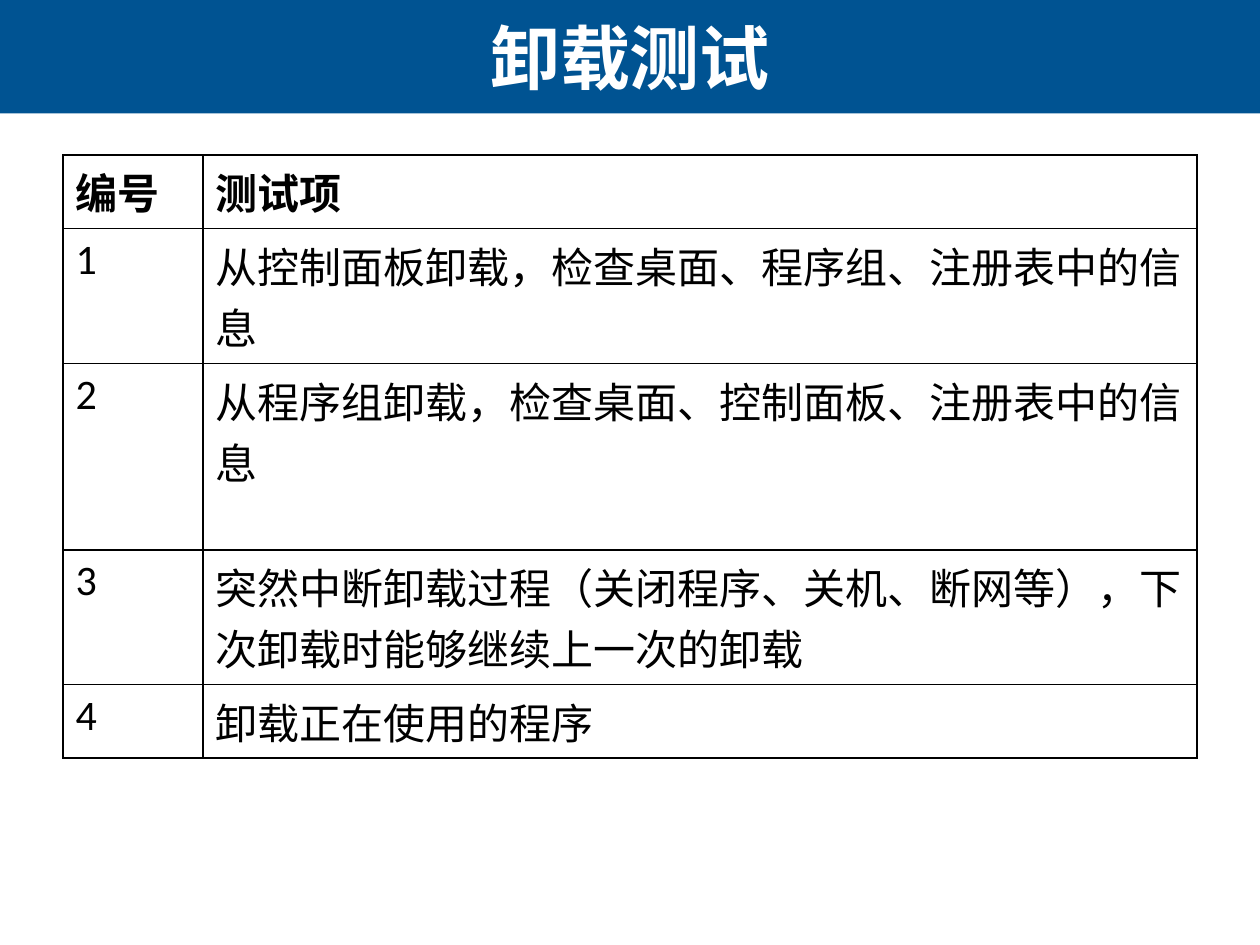
"""Build the uninstall test slide: a title band above a table of test items."""
from lxml.etree import SubElement
from pptx import Presentation
from pptx.dml.color import RGBColor
from pptx.enum.shapes import MSO_SHAPE
from pptx.enum.text import MSO_ANCHOR, PP_ALIGN
from pptx.oxml.ns import qn
from pptx.util import Inches, Pt

COLORS = {"band": "005392", "title": "FFFFFF", "ink": "000000"}
ROWS = [
    ("编号", "测试项", 0.58),
    ("1", "从控制面板卸载，检查桌面、程序组、注册表中的信息", 1.07),
    ("2", "从程序组卸载，检查桌面、控制面板、注册表中的信息", 1.48),
    ("3", "突然中断卸载过程（关闭程序、关机、断网等），下次卸载时能够继续上一次的卸载", 1.07),
    ("4", "卸载正在使用的程序", 0.58),
]
COLUMN_WIDTHS = (1.11, 7.89)


def add_span(para, text, font, size, color, bold):
    span = para.add_run()
    span.text = text
    span.font.name = font
    span.font.size = Pt(size)
    span.font.bold = bold
    span.font.color.rgb = RGBColor.from_string(COLORS[color])


def add_borders(cell):
    properties = cell._tc.get_or_add_tcPr()
    for side in ("lnL", "lnR", "lnT", "lnB"):
        line = SubElement(properties, qn(f"a:{side}"), w=str(Pt(1)))
        fill = SubElement(line, qn("a:solidFill"))
        SubElement(fill, qn("a:srgbClr"), val=COLORS["ink"])


deck = Presentation()
deck.slide_width, deck.slide_height = Inches(10), Inches(7.5)
page = deck.slides.add_slide(deck.slide_layouts[5])
band_height = int(deck.slide_height * 0.12)

band = page.shapes.add_shape(MSO_SHAPE.RECTANGLE, 0, 0, deck.slide_width, band_height)
band.shadow.inherit = False
band.fill.solid()
band.fill.fore_color.rgb = RGBColor.from_string(COLORS["band"])
band.line.fill.background()
page.shapes._spTree.insert(2, band._element)

title = page.shapes.title
title.left, title.top = 0, 0
title.width, title.height = deck.slide_width, band_height
title.text_frame.vertical_anchor = MSO_ANCHOR.MIDDLE
heading = title.text_frame.paragraphs[0]
heading.alignment = PP_ALIGN.CENTER
add_span(heading, "卸载测试", "Arial", 40, "title", True)

table = page.shapes.add_table(
    len(ROWS), len(COLUMN_WIDTHS), Inches(0.5), Inches(1.23),
    Inches(sum(COLUMN_WIDTHS)), Inches(sum(row[-1] for row in ROWS)),
).table
table.first_row = False
table.horz_banding = False
for column, width in zip(table.columns, COLUMN_WIDTHS):
    column.width = Inches(width)

for row_index, (*texts, height) in enumerate(ROWS):
    table.rows[row_index].height = Inches(height)
    for column_index, text in enumerate(texts):
        cell = table.cell(row_index, column_index)
        add_borders(cell)
        cell.fill.background()
        add_span(cell.text_frame.paragraphs[0], text, "Calibri", 24, "ink", row_index == 0)

deck.save("out.pptx")
